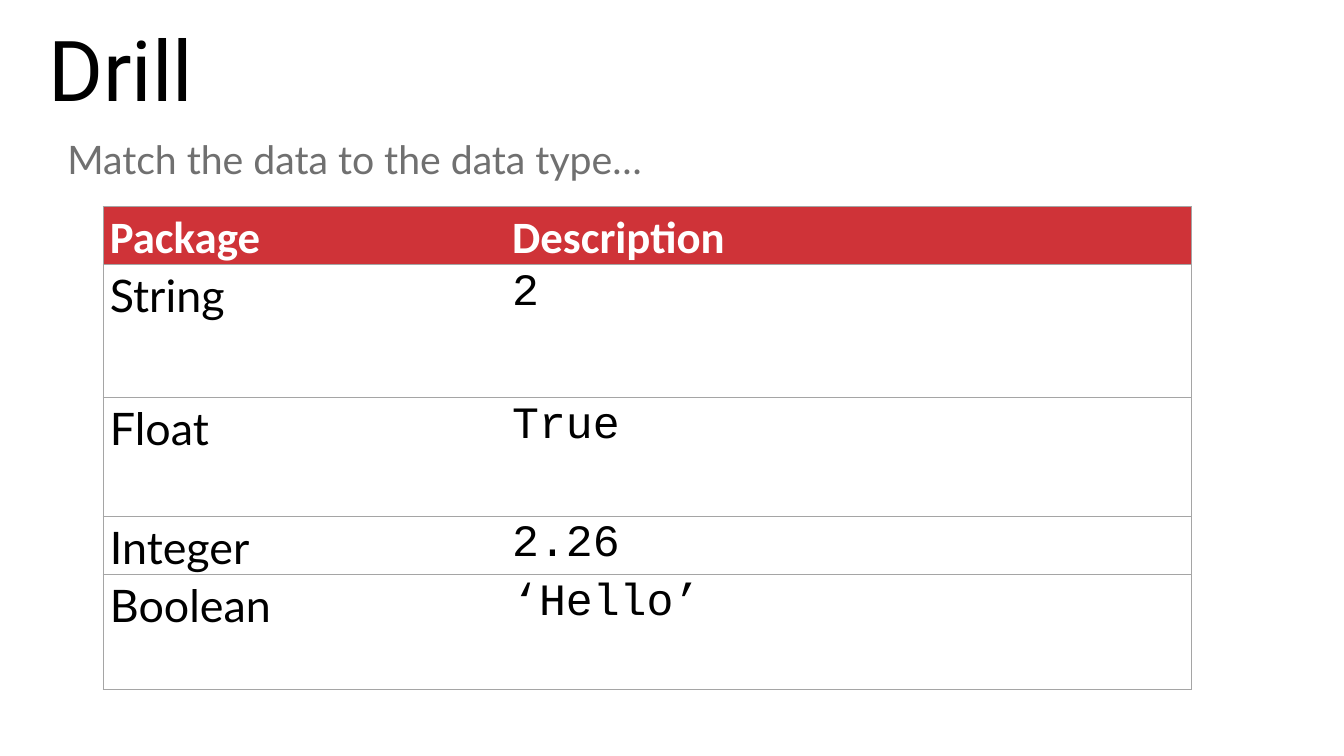
from lxml import etree
from pptx import Presentation
from pptx import util as u
from pptx.dml.color import RGBColor
from pptx.enum import text
from pptx.oxml import ns

THEME = {
    "title": {"font": "Roboto", "size": 60, "color": "000000"},
    "prompt": {"font": "Lato", "size": 28, "color": "707070"},
    "header": {"font": "Calibri", "size": 32, "color": "FFFFFF", "bold": True},
    "type": {"font": "Lato", "size": 32, "color": "000000"},
    "value": {"font": "Courier New", "size": 32, "color": "000000"},
    "header_fill": "CF3338",
    "border": "A5A5A5",
    "border_width": 0.5,
    "line_spacing": 1.07,
}


def write(frame, wording, style):
    frame.text = wording
    font = frame.paragraphs[0].runs[0].font
    font.name = style["font"]
    font.size = u.Pt(style["size"])
    font.bold = style.get("bold", False)
    font.color.rgb = RGBColor.from_string(style["color"])


def add_border(cell, side, visible):
    line = etree.SubElement(cell._tc.get_or_add_tcPr(), ns.qn(f"a:ln{side}"))
    line.set("w", str(u.Pt(THEME["border_width"])))
    if visible:
        fill = etree.SubElement(line, ns.qn("a:solidFill"))
        etree.SubElement(fill, ns.qn("a:srgbClr")).set("val", THEME["border"])
    else:
        etree.SubElement(line, ns.qn("a:noFill"))


presentation = Presentation()
presentation.slide_width = u.Inches(13.33)
presentation.slide_height = u.Inches(7.5)
slide = presentation.slides.add_slide(presentation.slide_layouts[6])

headings = [
    ("Drill", "title", (0.38, 0.12, 12.09, 1.11)),
    ("Match the data to the data type…", "prompt", (0.57, 1.29, 10.52, 0.57)),
]
for wording, style, place in headings:
    box = slide.shapes.add_textbox(*map(u.Inches, place))
    box.text_frame.word_wrap = True
    box.text_frame.auto_size = text.MSO_AUTO_SIZE.SHAPE_TO_FIT_TEXT
    write(box.text_frame, wording, THEME[style])

rows = [
    ("Package", "Description", 0.57),
    ("String", "2", 1.32),
    ("Float", "True", 1.18),
    ("Integer", "2.26", 0.58),
    ("Boolean", "‘Hello’", 1.14),
]
column_widths = [3.99, 6.81]
table_height = sum(height for *_, height in rows)
table = slide.shapes.add_table(
    len(rows), len(column_widths),
    u.Inches(1.02), u.Inches(2.05),
    u.Inches(sum(column_widths)), u.Inches(table_height),
).table
table.horz_banding = False

for column, width in zip(table.columns, column_widths):
    column.width = u.Inches(width)

for row_index, (*wordings, height) in enumerate(rows):
    table.rows[row_index].height = u.Inches(height)
    for column_index, wording in enumerate(wordings):
        cell = table.cell(row_index, column_index)
        cell.margin_left = cell.margin_right = u.Inches(0.07)
        cell.margin_top = cell.margin_bottom = 0
        add_border(cell, "L", column_index == 0)
        add_border(cell, "R", column_index == len(column_widths) - 1)
        add_border(cell, "T", True)
        add_border(cell, "B", True)
        if row_index == 0:
            cell.fill.solid()
            cell.fill.fore_color.rgb = RGBColor.from_string(THEME["header_fill"])
            style = "header"
        else:
            cell.fill.background()
            style = ("type", "value")[column_index]
        write(cell.text_frame, wording, THEME[style])
        cell.text_frame.paragraphs[0].line_spacing = THEME["line_spacing"]

presentation.save("out.pptx")
